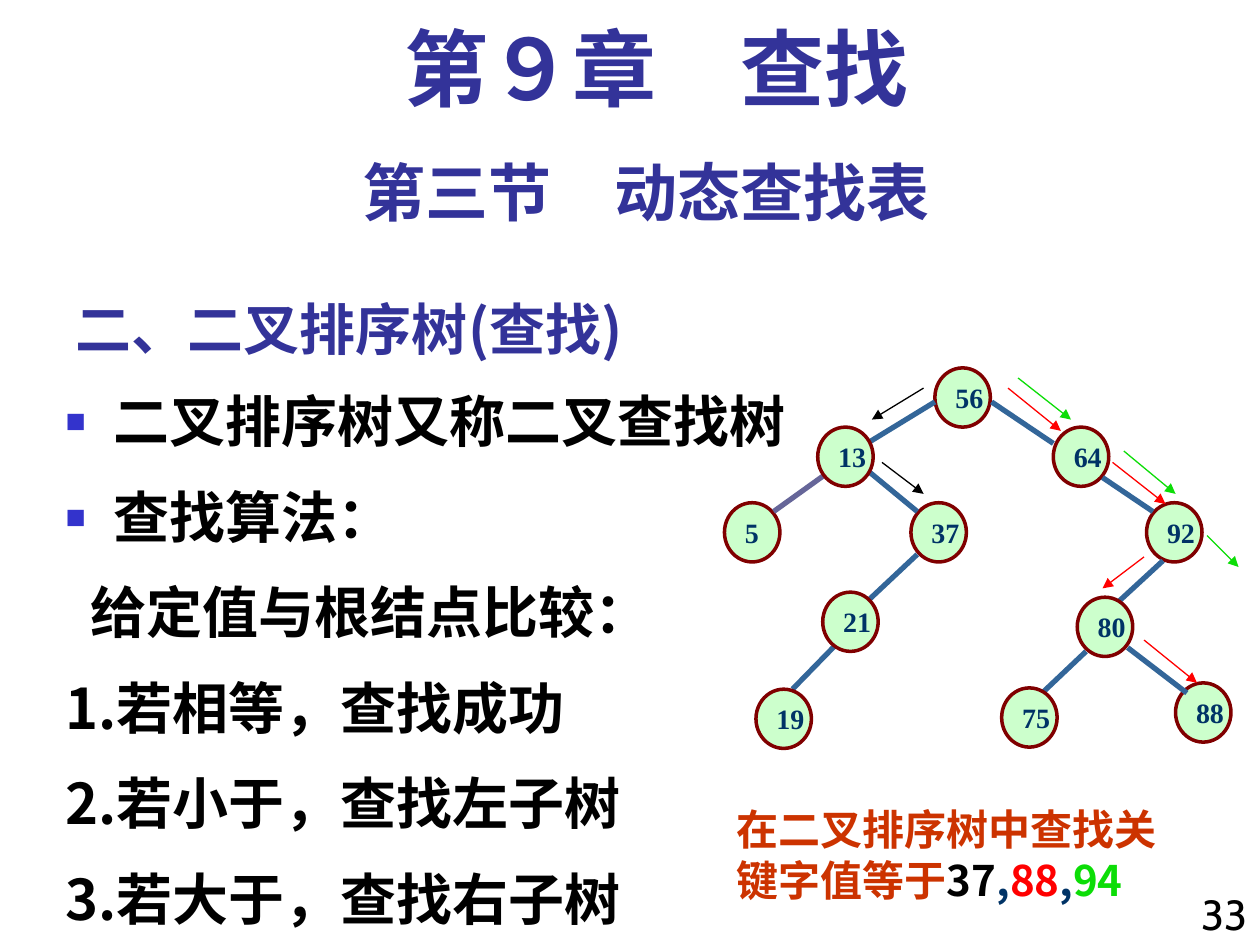
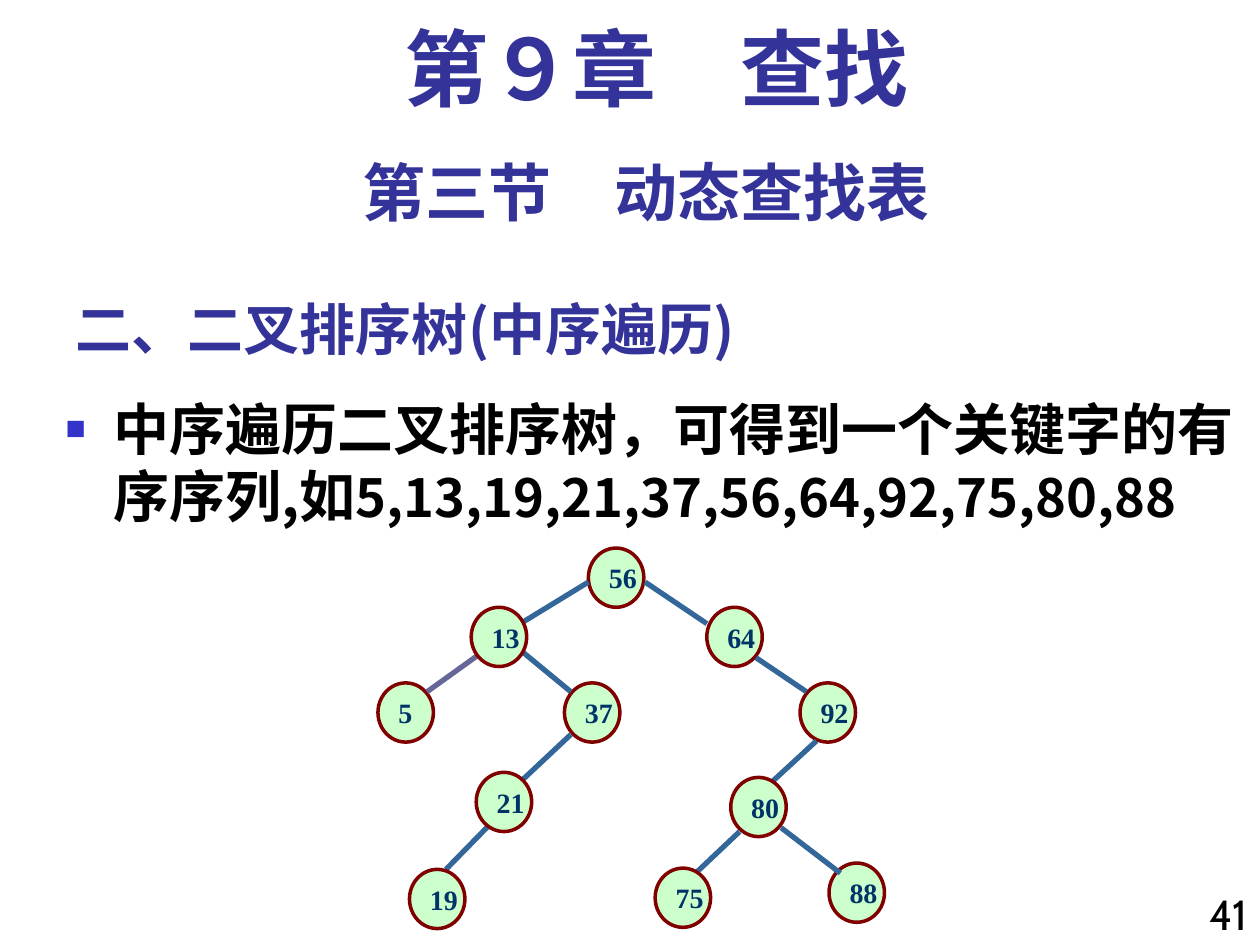
from dataclasses import dataclass

from lxml.etree import SubElement
from pptx import Presentation
from pptx.dml.color import RGBColor
from pptx.enum.shapes import MSO_CONNECTOR, MSO_SHAPE
from pptx.enum.text import MSO_ANCHOR, MSO_AUTO_SIZE, PP_ALIGN
from pptx.oxml.ns import qn
from pptx.util import Inches, Pt


@dataclass(frozen=True)
class Theme:
    heading: str = "333399"
    text: str = "000000"
    bullet: str = "3333CC"
    caption: str = "CC3300"
    label: str = "003366"
    node_fill: str = "CCFFCC"
    node_line: str = "800000"
    edge: str = "336699"
    pale_edge: str = "666699"
    path_37: str = "000000"
    path_88: str = "FF0000"
    path_94: str = "0CDD07"
    cjk: str = "Noto Sans CJK SC"
    serif: str = "Times New Roman"
    sans: str = "Cabin"
    chapter_size: float = 48
    section_size: float = 36
    body_size: float = 32
    sequence_size: float = 30
    small_size: float = 24
    node_size: float = 16


THEME = Theme()

TITLE_BOX = (0.5, 2.17, 6.25, 0.75)
BODY_BOX = (0.42, 3.08, 9.58, 4.42)
CHAPTER_BOX = (0.67, 0.17, 9.08, 0.83)
SECTION_BOX = (0.5, 1.17, 9.25, 0.7)
NUMBER_BOX = (9.33, 7, 0.67, 0.59)
CAPTION_BOX = (5.75, 6.33, 3.83, 0.9)

# Tree parts are measured from the tree's top left corner.
NODE_SIZE = (0.44, 0.47)
NODES_UNDER_EDGES = {
    "56": (1.67, 0), "64": (2.61, 0.47), "5": (0, 1.07),
    "92": (3.35, 1.07), "37": (1.48, 1.07), "88": (3.58, 2.5),
}
NODES_OVER_EDGES = {
    "19": (0.25, 2.55), "80": (2.8, 1.82), "21": (0.78, 1.78),
    "13": (0.74, 0.47), "75": (2.2, 2.54),
}
PALE_EDGE = (0.78, 0.86, 0.39, 1.14)
EDGES = [
    (1.67, 0.27, 1.13, 0.6), (2.12, 0.27, 2.61, 0.6),
    (1.13, 0.81, 1.53, 1.14), (1.53, 1.48, 1.04, 1.94),
    (3, 0.87, 3.4, 1.14), (3.48, 1.53, 3.1, 1.88),
    (3.2, 2.22, 3.67, 2.58), (0.93, 2.15, 0.54, 2.55),
    (2.87, 2.25, 2.5, 2.6),
]
SEARCH_PATHS = {
    THEME.path_37: [(1.58, 0.16, 1.17, 0.41), (1.25, 0.75, 1.58, 1)],
    THEME.path_88: [(2.25, 0.16, 2.67, 0.5), (3.08, 0.75, 3.5, 1.08),
                    (3.33, 2.16, 3.75, 2.5), (3.33, 1.5, 3, 1.75)],
    THEME.path_94: [(2.33, 0.08, 2.75, 0.41), (3.17, 0.66, 3.58, 1),
                    (3.83, 1.33, 4.08, 1.58)],
}


def inches(lengths):
    return [Inches(length) for length in lengths]


def add_span(para, text, size, color, font=THEME.cjk, bold=True):
    span = para.add_run()
    span.text = text
    span.font.size = Pt(size)
    span.font.bold = bold
    span.font.name = font
    span.font.color.rgb = RGBColor.from_string(color)
    latin = span.font._element.find(qn("a:latin"))
    east_asian = latin.makeelement(qn("a:ea"), {"typeface": THEME.cjk})
    latin.addnext(east_asian)


def add_text_box(slide, box, align=PP_ALIGN.LEFT):
    """Add an empty wrapping text box and return its first paragraph."""
    frame = slide.shapes.add_textbox(*inches(box)).text_frame
    frame.word_wrap = True
    para = frame.paragraphs[0]
    para.alignment = align
    return para


def place(placeholder, box, anchor):
    placeholder.left, placeholder.top, placeholder.width, placeholder.height = inches(box)
    frame = placeholder.text_frame
    frame.auto_size = MSO_AUTO_SIZE.NONE
    frame.vertical_anchor = anchor
    return frame


def set_list_style(para, bullet, left, hanging):
    properties = para._p.get_or_add_pPr()
    properties.set("marL", str(Inches(left)))
    properties.set("indent", str(-Inches(hanging)))
    if not bullet:
        SubElement(properties, qn("a:buNone"))
        return
    color = SubElement(properties, qn("a:buClr"))
    SubElement(color, qn("a:srgbClr"), val=THEME.bullet)
    SubElement(properties, qn("a:buSzPct"), val="60000")
    SubElement(properties, qn("a:buFont"), typeface=THEME.serif)
    SubElement(properties, qn("a:buChar"), char="■")


def add_headed_slide(deck, title, number):
    """Add a slide with the chapter, section, title and page number."""
    slide = deck.slides.add_slide(deck.slide_layouts[1])
    frame = place(slide.shapes.title, TITLE_BOX, MSO_ANCHOR.BOTTOM)
    para = frame.paragraphs[0]
    para.alignment = PP_ALIGN.LEFT
    add_span(para, title, THEME.body_size, THEME.heading)

    chapter = add_text_box(slide, CHAPTER_BOX, PP_ALIGN.CENTER)
    chapter.line_spacing = 0.9
    add_span(chapter, "第９章　查找", THEME.chapter_size, THEME.heading, THEME.serif)
    section = add_text_box(slide, SECTION_BOX, PP_ALIGN.CENTER)
    add_span(section, "第三节　动态查找表", THEME.section_size, THEME.heading, THEME.sans)
    page_number = add_text_box(slide, NUMBER_BOX, PP_ALIGN.RIGHT)
    add_span(page_number, number, THEME.small_size, THEME.text, THEME.sans, bold=False)
    return slide


def fill_body(slide, items, line_spacing):
    """Write items of (spans, bullet, left indent, hanging) into the body."""
    frame = place(slide.placeholders[1], BODY_BOX, MSO_ANCHOR.TOP)
    for index, (spans, bullet, left, hanging) in enumerate(items):
        para = frame.add_paragraph() if index else frame.paragraphs[0]
        set_list_style(para, bullet, left, hanging)
        para.line_spacing = line_spacing
        para.space_before = Pt(20 if index else 0)
        for text, size in spans:
            add_span(para, text, size, THEME.text)


def add_line(shapes, origin, ends, color, width, arrow=False):
    left, top = origin
    x1, y1, x2, y2 = ends
    line = shapes.add_connector(
        MSO_CONNECTOR.STRAIGHT, *inches((left + x1, top + y1, left + x2, top + y2)))
    line.line.color.rgb = RGBColor.from_string(color)
    line.line.width = Pt(width)
    if arrow:
        SubElement(line.line._get_or_add_ln(), qn("a:tailEnd"), type="triangle")
    SubElement(line._element.spPr, qn("a:effectLst"))


def add_nodes(shapes, origin, nodes):
    left, top = origin
    for key, (x, y) in nodes.items():
        node = shapes.add_shape(
            MSO_SHAPE.OVAL, *inches((left + x, top + y, *NODE_SIZE)))
        node.shadow.inherit = False
        node.fill.solid()
        node.fill.fore_color.rgb = RGBColor.from_string(THEME.node_fill)
        node.line.color.rgb = RGBColor.from_string(THEME.node_line)
        node.line.width = Pt(2)
        frame = node.text_frame
        frame.word_wrap = False
        frame.vertical_anchor = MSO_ANCHOR.MIDDLE
        para = frame.paragraphs[0]
        para.alignment = PP_ALIGN.LEFT
        add_span(para, key, THEME.node_size, THEME.label, THEME.serif)


def add_tree(slide, origin):
    shapes = slide.shapes.add_group_shape().shapes
    add_nodes(shapes, origin, NODES_UNDER_EDGES)
    add_line(shapes, origin, PALE_EDGE, THEME.pale_edge, 3)
    for ends in EDGES:
        add_line(shapes, origin, ends, THEME.edge, 3)
    add_nodes(shapes, origin, NODES_OVER_EDGES)


def add_search_paths(slide, origin):
    for color, steps in SEARCH_PATHS.items():
        for ends in steps:
            add_line(slide.shapes, origin, ends, color, 0.75, arrow=True)


def add_search_caption(slide):
    para = add_text_box(slide, CAPTION_BOX)
    for text, color in [
        ("在二叉排序树中查找关键字值等于", THEME.caption),
        ("37", THEME.path_37), (",", THEME.label),
        ("88", THEME.path_88), (",", THEME.label),
        ("94", THEME.path_94),
    ]:
        add_span(para, text, THEME.small_size, color)


def add_search_slide(deck):
    slide = add_headed_slide(deck, "二、二叉排序树(查找)", "33")
    bulleted = (True, 0.38, 0.38)
    indented = (False, 0.2, 0)
    numbered = (False, 0.38, 0.38)
    lines = [
        ("二叉排序树又称二叉查找树", bulleted),
        ("查找算法：", bulleted),
        ("给定值与根结点比较：", indented),
        ("1.若相等，查找成功", numbered),
        ("2.若小于，查找左子树", numbered),
        ("3.若大于，查找右子树", numbered),
    ]
    fill_body(slide, [([(text, THEME.body_size)], *style) for text, style in lines], 0.9)
    add_search_caption(slide)
    tree_origin = (5.75, 2.92)
    add_tree(slide, tree_origin)
    add_search_paths(slide, tree_origin)


def add_traversal_slide(deck):
    slide = add_headed_slide(deck, "二、二叉排序树(中序遍历)", "41")
    spans = [
        ("中序遍历二叉排序树，可得到一个关键字的有序序列,如", THEME.body_size),
        ("5,13,19,21,37,56,64,92,75,80,88", THEME.sequence_size),
    ]
    fill_body(slide, [(spans, True, 0.38, 0.38)], 1.0)
    add_tree(slide, (3, 4.35))


def main():
    deck = Presentation()
    deck.slide_width, deck.slide_height = Inches(10), Inches(7.5)
    add_search_slide(deck)
    add_traversal_slide(deck)
    deck.save("out.pptx")


if __name__ == "__main__":
    main()
